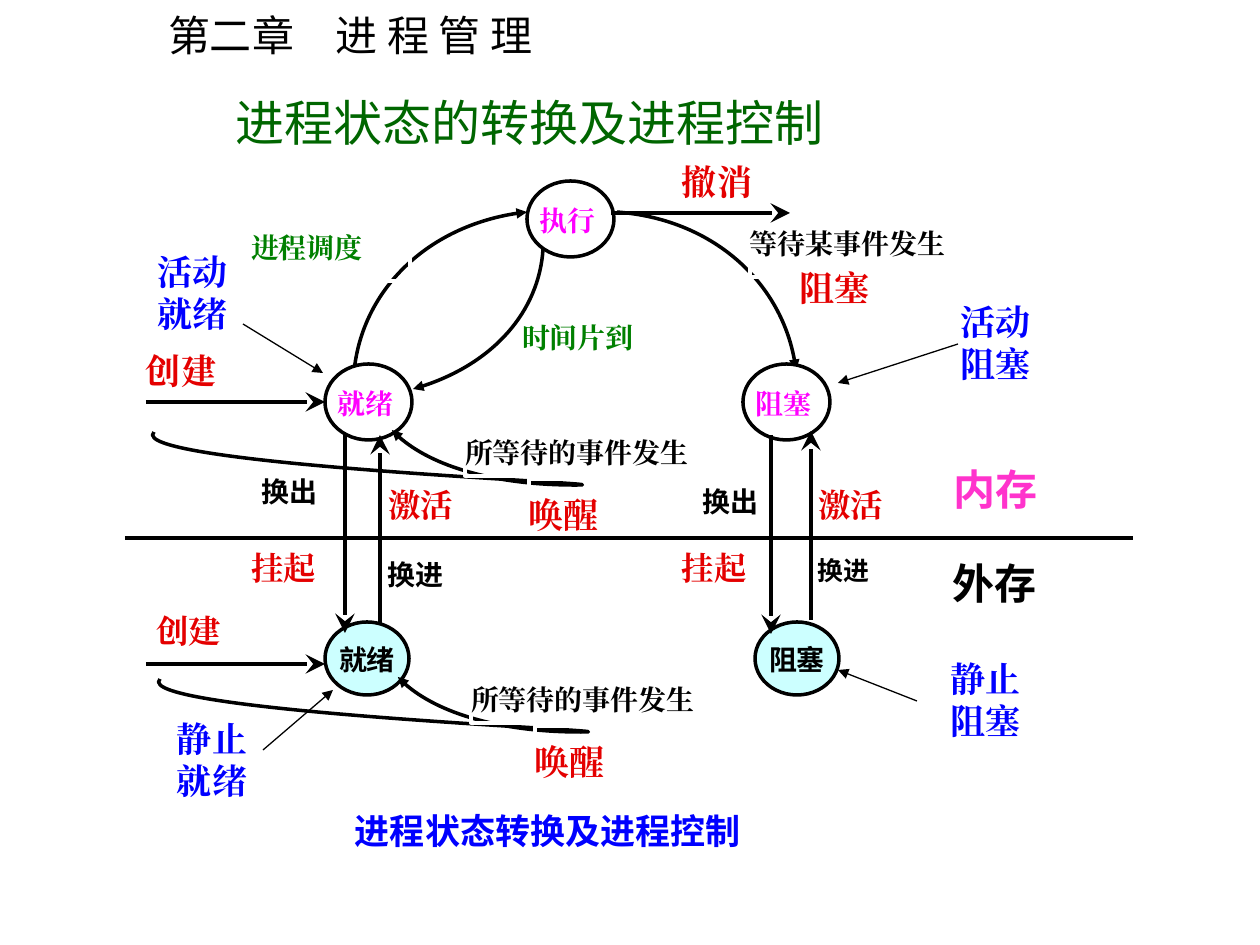
"""Build the slide on process state changes and process control."""
from lxml.etree import SubElement
from pptx import Presentation
from pptx.dml.color import RGBColor
from pptx.enum.lang import MSO_LANGUAGE_ID
from pptx.enum.shapes import MSO_CONNECTOR, MSO_SHAPE
from pptx.enum.text import MSO_ANCHOR, PP_ALIGN
from pptx.oxml.ns import qn
from pptx.util import Emu, Pt

BLACK = RGBColor(0, 0, 0)
WHITE = RGBColor(255, 255, 255)
RED = RGBColor(0xE4, 0, 0)
BLUE = RGBColor(0, 0, 255)
GREEN = RGBColor(0, 0x80, 0)
DARK = RGBColor(0, 0x66, 0)
PINK = RGBColor(255, 0, 255)
ROSE = RGBColor(255, 0x33, 0xCC)
CYAN = RGBColor(0xCC, 255, 255)
SANS = "Noto Sans CJK SC"
SERIF = "Times New Roman"
SCALE = 914400 / 126

HEADS = [
    ("第二章\u3000进 程 管 理", (155, 4, 398, 63), 24, BLACK, False),
    ("进程状态的转换及进程控制", (223, 86, 932, 72), 28, DARK, True),
]
CURVES = [
    [(543, 249), (539, 312), (489, 368), (413, 389)],
    [(354, 372), (362, 289), (433, 222), (527, 212)],
    [(617, 212), (712, 219), (786, 286), (796, 370)],
]
WAKE = [(154, 432), (122, 465), (651, 485), (575, 485),
        (495, 485), (423, 464), (392, 430)]
SHIFTS = [(0, 0), (6, 247)]
ACTIVE = [("执行", 527, 181), ("就绪", 325, 364), ("阻塞", 743, 364)]
STATIC = [("就绪", 325, 622), ("阻塞", 755, 622)]
LABELS = [
    ("换进", (388, 548, 73, 53), (0, 10), 16, BLACK, SANS),
    ("时间片到", (522, 321, 130, 60), (0, 0), 16, GREEN, SERIF),
    ("进程调度", (251, 221, 159, 60), (0, 10), 16, GREEN, SERIF),
    ("等待某事件发生", (750, 217, 217, 60), (0, 10), 16, BLACK, SERIF),
    ("阻塞", (799, 267, 130, 60), (0, 0), 20, RED, SERIF),
    ("进程状态转换及进程控制", (335, 800, 504, 60), (20, 10), 20, BLUE, SANS),
    ("外存", (934, 548, 168, 60), (19, 10), 24, BLACK, SANS),
    ("内存", (934, 454, 168, 60), (20, 10), 24, ROSE, SANS),
    ("换出", (262, 475, 63, 42), (0, 0), 16, BLACK, SANS),
    ("换出", (703, 485, 63, 42), (0, 0), 16, BLACK, SANS),
    ("换进", (818, 548, 63, 42), (0, 7), 14.8, BLACK, SANS),
    ("撤消", (682, 160, 84, 42), (0, 0), 20, RED, SERIF),
    ("创建", (156, 611, 84, 42), (0, 0), 18.5, RED, SERIF),
    ("创建", (146, 349, 84, 42), (0, 0), 20, RED, SERIF),
    ("挂起", (251, 548, 84, 42), (0, 0), 18.5, RED, SERIF),
    ("挂起", (682, 548, 84, 42), (0, 0), 18.5, RED, SERIF),
    ("激活", (818, 485, 84, 42), (0, 0), 18.5, RED, SERIF),
    ("激活", (388, 485, 84, 42), (0, 0), 18.5, RED, SERIF),
]
WOKEN = [
    ("所等待的事件发生", (465, 416, 231, 60), (0, 20), 16, BLACK, SERIF),
    ("唤醒", (529, 479, 101, 60), (0, 15), 20, RED, SERIF),
]
ARROWS = [
    (811, 620, 811, 431), (345, 433, 345, 633), (771, 435, 771, 634),
    (380, 624, 380, 435), (146, 402, 325, 402), (146, 664, 325, 664),
    (611, 213, 790, 213),
]
BORDER = (125, 538, 1133, 538)
NOTES = [
    ("活动阻塞", (948, 294), (958, 344, 838, 383)),
    ("静止阻塞", (937, 651), (917, 701, 838, 670)),
    ("静止就绪", (164, 711), (263, 750, 333, 690)),
    ("活动就绪", (144, 244), (243, 324, 323, 373)),
]


def px(num):
    return Emu(round(num * SCALE))


def write(shape, text, pad, size, color, face, bold=True, wrap=True,
          align=PP_ALIGN.LEFT, anchor=MSO_ANCHOR.TOP):
    frame = shape.text_frame
    frame.word_wrap = wrap
    frame.vertical_anchor = anchor
    (frame.margin_left, frame.margin_top,
     frame.margin_right, frame.margin_bottom) = map(px, pad)
    par = frame.paragraphs[0]
    par.text = text
    par.alignment = align
    font = par.font
    font.size, font.bold, font.name = Pt(size), bold, face
    font.color.rgb = color
    font.language_id = MSO_LANGUAGE_ID.SIMPLIFIED_CHINESE
    base = par._p.pPr.find(qn("a:defRPr"))
    SubElement(base, qn("a:ea")).set("typeface", face)


def block(shapes, kind, box, line, fill=None):
    shape = shapes.add_shape(kind, *map(px, box))
    shape.shadow.inherit = False
    if fill is None:
        shape.fill.background()
    else:
        shape.fill.solid()
        shape.fill.fore_color.rgb = fill
    shape.line.color.rgb = line
    shape.line.width = Pt(2)
    return shape


def label(shapes, text, box, inset, size, color, face):
    shape = block(shapes, MSO_SHAPE.RECTANGLE, box, WHITE)
    write(shape, text, (*inset, 0, 0), size, color, face, align=PP_ALIGN.JUSTIFY)


def tip(shape, kind, size="med"):
    end = SubElement(shape._element.spPr.find(qn("a:ln")), qn("a:tailEnd"))
    for key, val in (("type", kind), ("w", size), ("len", size)):
        end.set(key, val)


def curve(shapes, points):
    pen = shapes.build_freeform(*points[0], scale=SCALE)
    pen.add_line_segments(points[1:], close=False)
    shape = pen.convert_to_shape()
    shape.shadow.inherit = False
    shape.fill.background()
    shape.line.color.rgb = BLACK
    shape.line.width = Pt(2)
    tip(shape, "triangle")
    track = next(shape._element.iter(qn("a:path")))
    steps = track.findall(qn("a:lnTo"))
    for first in range(0, len(steps), 3):
        bend = SubElement(track, qn("a:cubicBezTo"))
        for step in steps[first:first + 3]:
            bend.append(step[0])
            track.remove(step)


def rule(shapes, ends, width):
    line = shapes.add_connector(MSO_CONNECTOR.STRAIGHT, *map(px, ends))
    line.line.color.rgb = BLACK
    line.line.width = Pt(width)
    SubElement(line._element.spPr, qn("a:effectLst"))
    return line


def main():
    deck = Presentation()
    deck.slide_width, deck.slide_height = px(1260), px(945)
    shapes = deck.slides.add_slide(deck.slide_layouts[6]).shapes
    pad = (13, 6, 13, 6)
    for text, box, size, color, wrap in HEADS:
        write(shapes.add_textbox(*map(px, box)), text, pad, size, color, SANS,
              bold=False, wrap=wrap)
    for points in CURVES:
        curve(shapes, points)
    for text, left, top in ACTIVE:
        node = block(shapes, MSO_SHAPE.OVAL, (left, top, 87, 76), BLACK, WHITE)
        write(node, text, (0, 11, 0, 0), 16, PINK, SERIF, align=PP_ALIGN.JUSTIFY)
    for text, left, top in STATIC:
        node = block(shapes, MSO_SHAPE.OVAL, (left, top, 84, 73), BLACK, CYAN)
        write(node, text, (13, 1, 13, 0), 16, BLACK, SANS, wrap=False,
              align=PP_ALIGN.CENTER, anchor=MSO_ANCHOR.MIDDLE)
    for right, down in SHIFTS:
        curve(shapes, [(x + right, y + down) for x, y in WAKE])
        for text, (x, y, w, h), *style in WOKEN:
            label(shapes, text, (x + right, y + down, w, h), *style)
    for item in LABELS:
        label(shapes, *item)
    rule(shapes, BORDER, 2.25)
    for ends in ARROWS:
        tip(rule(shapes, ends, 2.25), "stealth", "lg")
    for text, spot, ends in NOTES:
        tip(rule(shapes, ends, 0.75), "triangle")
        write(shapes.add_textbox(*map(px, (*spot, 110, 97))), text, pad,
              20, BLUE, SERIF)
    deck.save("out.pptx")


if __name__ == "__main__":
    main()
